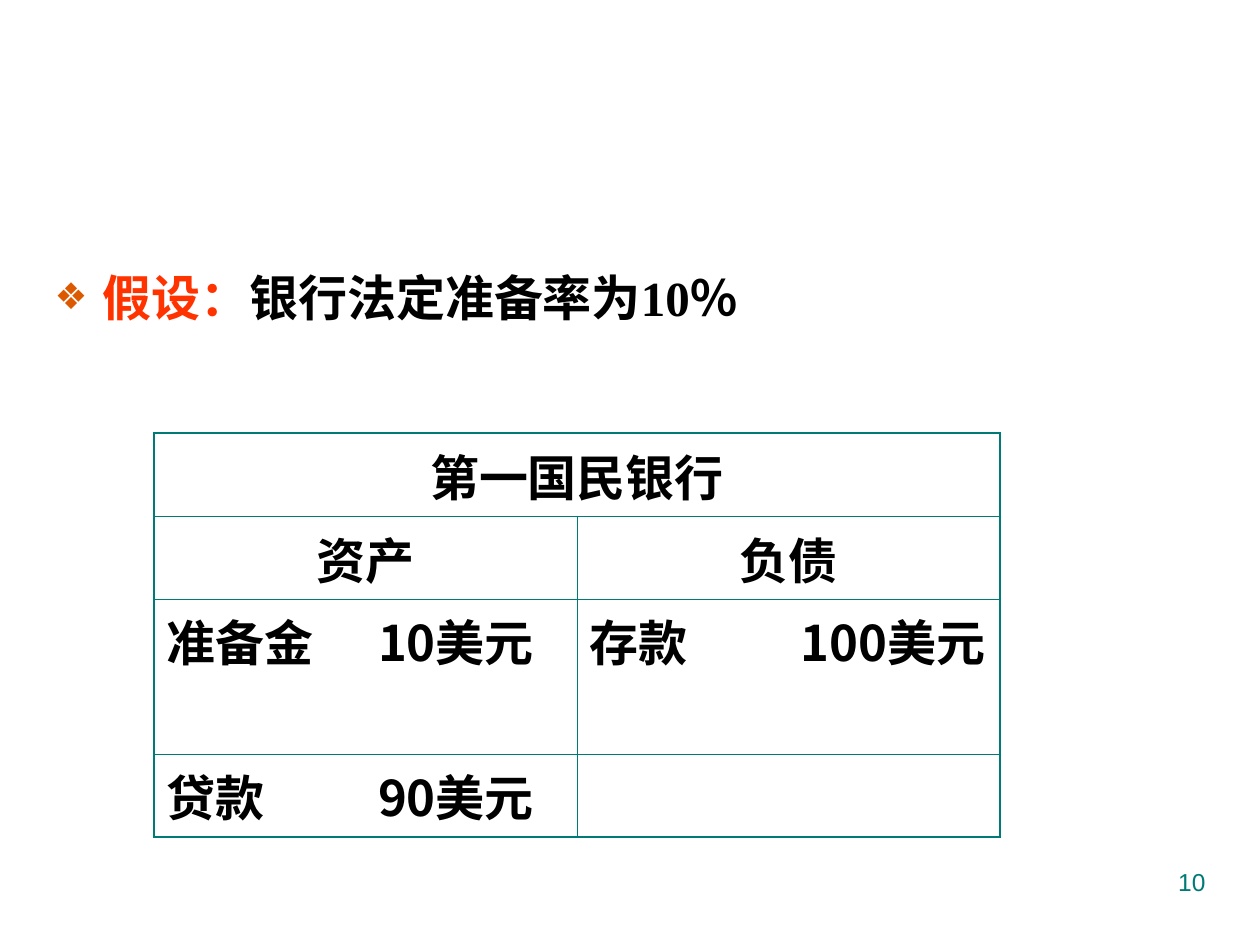
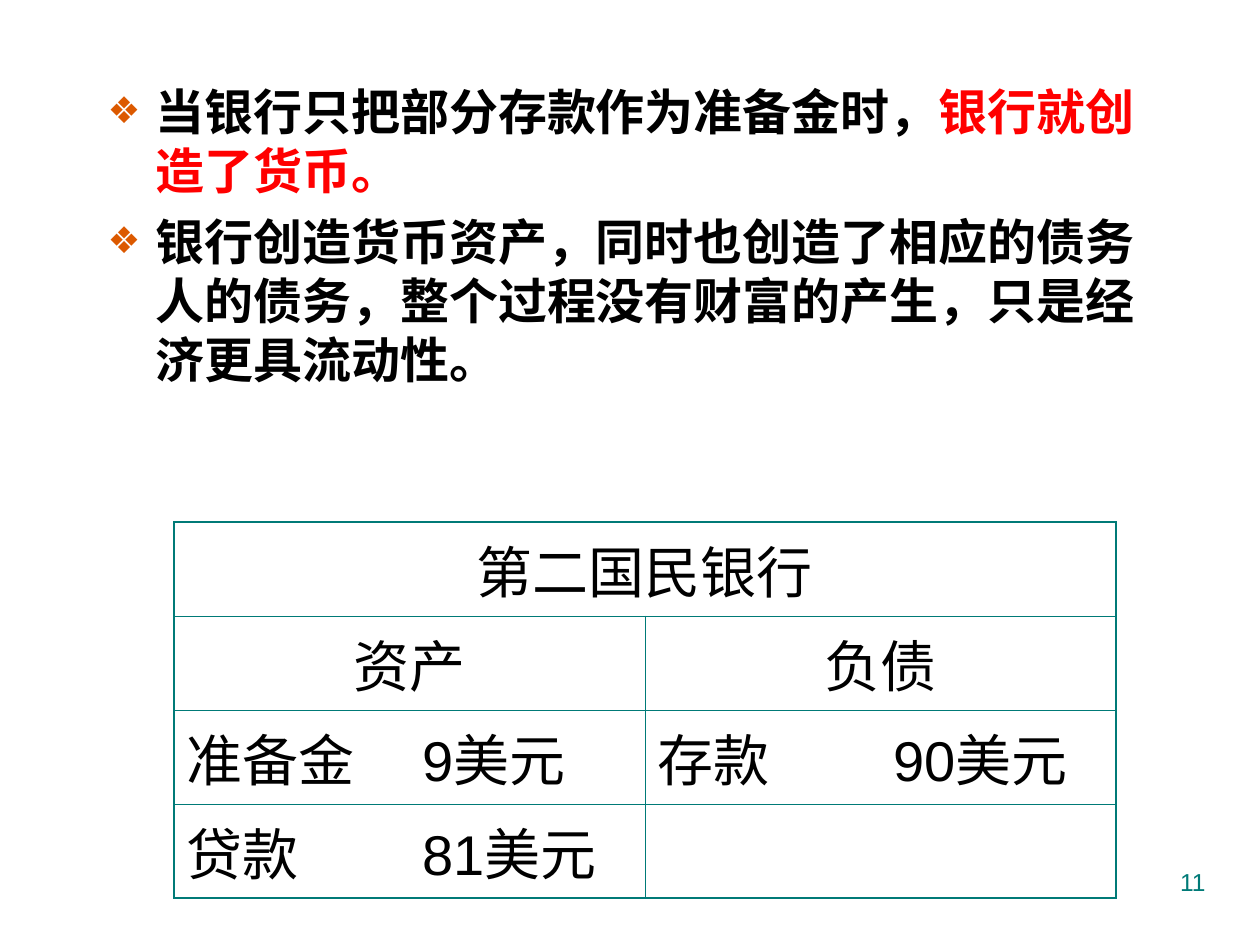
"""Build two slides on bank reserves and money creation."""
from lxml.etree import SubElement
from pptx import Presentation
from pptx.dml.color import RGBColor
from pptx.enum.text import MSO_AUTO_SIZE, PP_ALIGN
from pptx.oxml.ns import qn
from pptx.util import Emu, Pt

TEAL = RGBColor(0x00, 0x7A, 0x77)
ORANGE = RGBColor(0xDC, 0x59, 0x00)
VERMILION = RGBColor(0xFF, 0x33, 0x00)
RED = RGBColor(0xFF, 0x00, 0x00)
BLACK = RGBColor(0x00, 0x00, 0x00)
HAN, SERIF, SANS = "Noto Sans CJK SC", "Times New Roman", "Arial"
THICK, THIN = Pt(1.08), Pt(0.45)
COLUMNS, HALF = 4, 2
PAGE_BOX = (903, 861, 315, 65)

SLIDES = [
    {
        "page": "10",
        "points_box": (42, 262, 1045, 578),
        "points": [[("假设：", VERMILION), ("银行法定准备率为10％", BLACK)]],
        "ledger_box": (154, 433, 846, 404),
        "row_heights": (83, 83, 155, 83),
        "ledger_font": (HAN, 28, True),
        "ledger": [
            ("第一国民银行", None, None, None),
            ("资产", None, "负债", None),
            ("准备金", "10美元", "存款", "100美元"),
            ("贷款", "90美元", "", None),
        ],
    },
    {
        "page": "11",
        "points_box": (95, 76, 1071, 765),
        "points": [
            [("当银行只把部分存款作为准备金时，", BLACK), ("银行就创造了货币。", RED)],
            [("银行创造货币资产，同时也创造了相应的债务人的债务，"
              "整个过程没有财富的产生，只是经济更具流动性。", BLACK)],
        ],
        "ledger_box": (174, 522, 942, 376),
        "row_heights": (94, 94, 94, 94),
        "ledger_font": (SANS, 32, False),
        "ledger": [
            ("第二国民银行", None, None, None),
            ("资产", None, "负债", None),
            ("准备金", "9美元", "存款", "90美元"),
            ("贷款", "81美元", "", None),
        ],
    },
]


def px(length):
    return Emu(round(length * 914400 / 126))


def style(run, name, size, bold, color):
    font = run.font
    font.name, font.size, font.bold = name, Pt(size), bold
    font.color.rgb = color
    SubElement(run._r.get_or_add_rPr(), qn("a:ea"), typeface=HAN)


def add_bullet(paragraph):
    props = paragraph._p.get_or_add_pPr()
    props.set("marL", str(px(48)))
    props.set("indent", str(-px(48)))
    SubElement(SubElement(props, qn("a:buClr")), qn("a:srgbClr"), val=str(ORANGE))
    SubElement(props, qn("a:buSzPct"), val="75000")
    SubElement(props, qn("a:buFont"), typeface=SANS)
    SubElement(props, qn("a:buChar"), char="❖")


def add_points(slide, box, points):
    body = slide.placeholders[1]
    body.left, body.top, body.width, body.height = map(px, box)
    frame = body.text_frame
    frame.auto_size = MSO_AUTO_SIZE.NONE
    frame.margin_top = px(5)
    for index, parts in enumerate(points):
        paragraph = frame.add_paragraph() if index else frame.paragraphs[0]
        add_bullet(paragraph)
        paragraph.space_before = Pt(7 if index else 0)
        paragraph.line_spacing = Pt(33.75)
        for words, color in parts:
            run = paragraph.add_run()
            run.text = words
            style(run, SERIF, 28, True, color)


def set_border(cell, side, width):
    line = SubElement(cell._tc.get_or_add_tcPr(), qn(f"a:ln{side}"), w=str(width))
    if width:
        fill = SubElement(line, qn("a:solidFill"))
        SubElement(fill, qn("a:srgbClr"), val=str(TEAL))
    else:
        SubElement(line, qn("a:noFill"))


def upright(edge, row):
    if edge in (0, COLUMNS):
        return THICK
    return THIN if edge == HALF and row else 0


def add_ledger(slide, box, heights, font, entries):
    table = slide.shapes.add_table(len(entries), COLUMNS, *map(px, box)).table
    table.first_row = table.horz_banding = False
    for column in table.columns:
        column.width = px(box[2] / COLUMNS)
    for r, (entry, height) in enumerate(zip(entries, heights)):
        table.rows[r].height = px(height)
        for c, words in enumerate(entry):
            cell = table.cell(r, c)
            end = c + 1
            while words is not None and end < COLUMNS and entry[end] is None:
                end += 1
            set_border(cell, "L", upright(c, r))
            set_border(cell, "R", upright(end, r))
            set_border(cell, "T", THIN if r else THICK)
            set_border(cell, "B", THICK if r == len(entries) - 1 else THIN)
            cell.fill.background()
            if end > c + 1:
                cell.merge(table.cell(r, end - 1))
            if words:
                cell.text_frame.text = words
                paragraph = cell.text_frame.paragraphs[0]
                paragraph.alignment = PP_ALIGN.CENTER if end > c + 1 else PP_ALIGN.LEFT
                style(paragraph.runs[0], *font, BLACK)


def add_page_number(slide, number):
    frame = slide.shapes.add_textbox(*map(px, PAGE_BOX)).text_frame
    frame.word_wrap = True
    frame.text = number
    frame.paragraphs[0].alignment = PP_ALIGN.RIGHT
    style(frame.paragraphs[0].runs[0], SANS, 14, False, TEAL)


def main():
    deck = Presentation()
    deck.slide_width, deck.slide_height = px(1260), px(945)
    for content in SLIDES:
        slide = deck.slides.add_slide(deck.slide_layouts[1])
        title = slide.shapes.title.element
        title.getparent().remove(title)
        add_page_number(slide, content["page"])
        add_points(slide, content["points_box"], content["points"])
        add_ledger(slide, content["ledger_box"], content["row_heights"],
                   content["ledger_font"], content["ledger"])
    deck.save("out.pptx")


if __name__ == "__main__":
    main()
